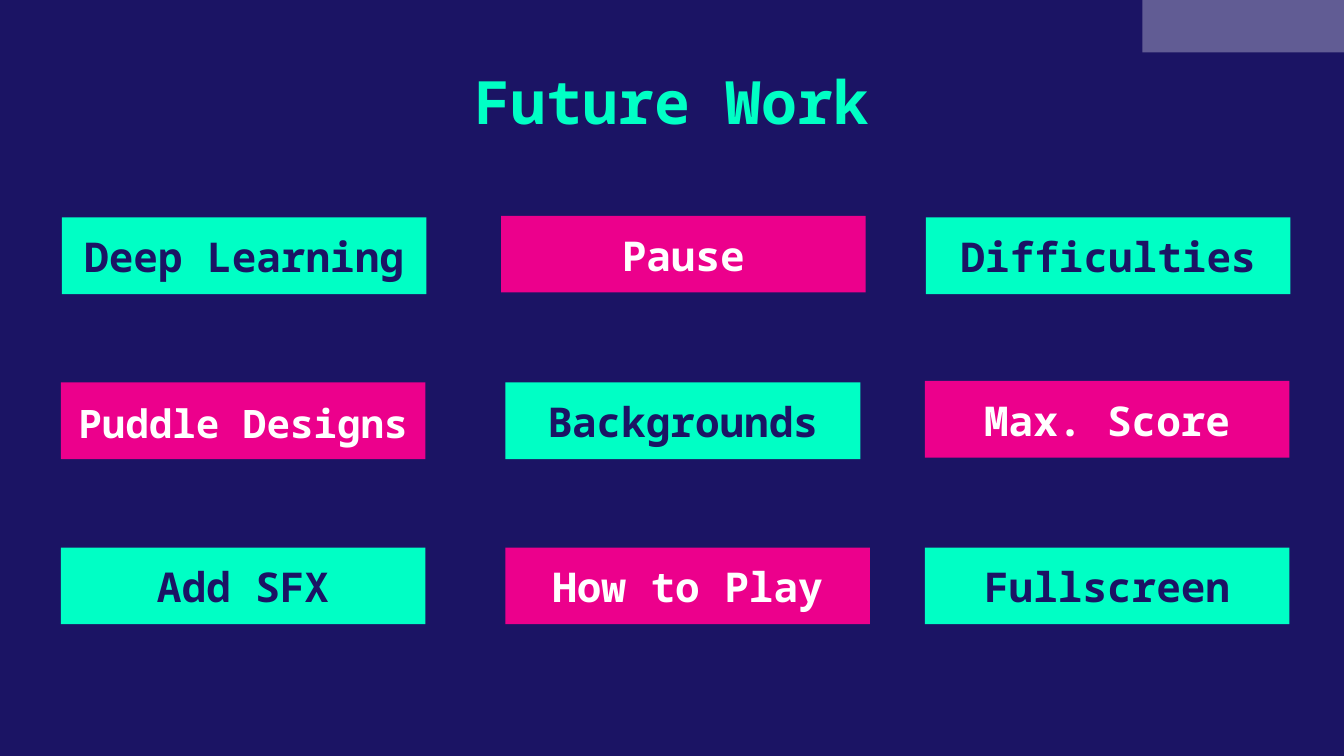
import pptx
import pptx.util
import pptx.dml.color
import pptx.enum.shapes
import pptx.enum.text
import lxml.etree

Cm = pptx.util.Cm

# Content: rows of cards, with the few departures from the grid
TITLE = "Future Work"
CARDS = [
    ["Deep Learning", "Pause", "Difficulties"],
    ["Puddle Designs", "Backgrounds", "Max. Score"],
    ["Add SFX", "How to Play", "Fullscreen"],
]
ADJUSTMENTS = {
    "Deep Learning": {"left": 1.17},
    "Pause": {"left": 9.47, "top": 4.08},
    "Difficulties": {"left": 17.5},
    "Puddle Designs": {"size": 21},
    "Backgrounds": {"width": 6.71},
    "Max. Score": {"top": 7.2},
}

THEME = {
    "font": "Noto Sans Mono",
    "navy": "1B1464",
    "mint": "00FFC5",
    "pink": "EC008C",
    "white": "FFFFFF",
    "title_size": 32,
    "card_size": 22,
}

# Grid in centimetres
COLUMN_LEFTS = [1.15, 9.55, 17.48]
FIRST_TOP, ROW_PITCH = 4.11, 3.12
CARD_WIDTH, CARD_HEIGHT = 6.89, 1.45
INSET = 0.25


def color(name):
    return pptx.dml.color.RGBColor.from_string(THEME[name])


def write_text(shape, text, *, size, color_name, anchor):
    frame = shape.text_frame
    frame.word_wrap = True
    frame.auto_size = pptx.enum.text.MSO_AUTO_SIZE.NONE
    frame.vertical_anchor = anchor
    frame.margin_left = frame.margin_right = Cm(INSET)
    frame.margin_top = frame.margin_bottom = Cm(INSET)
    paragraph = frame.paragraphs[0]
    paragraph.alignment = pptx.enum.text.PP_ALIGN.CENTER
    run = paragraph.add_run()
    run.text = text
    run.font.name = THEME["font"]
    run.font.size = pptx.util.Pt(size)
    run.font.bold = True
    run.font.color.rgb = color(color_name)


def add_rectangle(slide, left, top, width, height, fill_name):
    shape = slide.shapes.add_shape(
        pptx.enum.shapes.MSO_SHAPE.RECTANGLE,
        Cm(left), Cm(top), Cm(width), Cm(height))
    shape.shadow.inherit = False
    shape.fill.solid()
    shape.fill.fore_color.rgb = color(fill_name)
    shape.line.fill.background()
    return shape


def set_opacity(shape, percent):
    fill_color = shape.fill._xPr.find(".//" + pptx.oxml.ns.qn("a:srgbClr"))
    alpha = lxml.etree.SubElement(fill_color, pptx.oxml.ns.qn("a:alpha"))
    alpha.set("val", str(percent * 1000))


def add_card(slide, text, row, column):
    is_mint = (row + column) % 2 == 0
    place = {
        "left": COLUMN_LEFTS[column],
        "top": FIRST_TOP + row * ROW_PITCH,
        "width": CARD_WIDTH,
        "size": THEME["card_size"],
        **ADJUSTMENTS.get(text, {}),
    }
    card = add_rectangle(slide, place["left"], place["top"], place["width"],
                         CARD_HEIGHT, "mint" if is_mint else "pink")
    write_text(card, text, size=place["size"],
               color_name="navy" if is_mint else "white",
               anchor=pptx.enum.text.MSO_ANCHOR.BOTTOM)


def main():
    presentation = pptx.Presentation()
    presentation.slide_width = Cm(25.4)
    presentation.slide_height = Cm(14.29)
    slide = presentation.slides.add_slide(presentation.slide_layouts[5])

    # Background and corner block
    slide.background.fill.solid()
    slide.background.fill.fore_color.rgb = color("navy")
    corner = add_rectangle(slide, 21.59, 0, 3.81, 0.99, "white")
    set_opacity(corner, 31)

    # Title
    title = slide.shapes.title
    title.left, title.top = Cm(3.56), Cm(0.97)
    title.width, title.height = Cm(18.29), Cm(1.85)
    write_text(title, TITLE, size=THEME["title_size"], color_name="mint",
               anchor=pptx.enum.text.MSO_ANCHOR.TOP)

    # Cards, alternating colours like a chessboard
    for row, texts in enumerate(CARDS):
        for column, text in enumerate(texts):
            add_card(slide, text, row, column)

    presentation.save("out.pptx")


if __name__ == "__main__":
    main()
